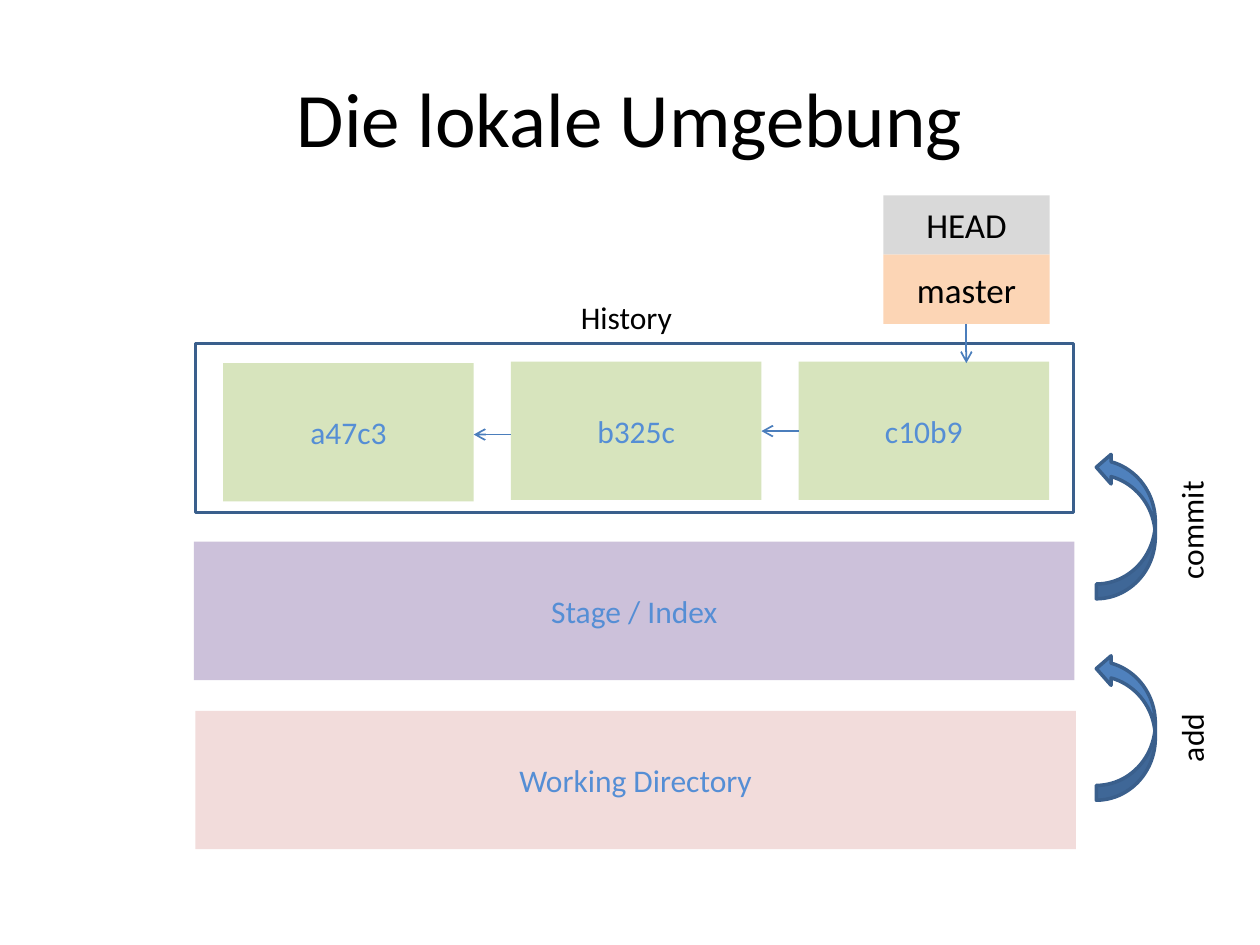
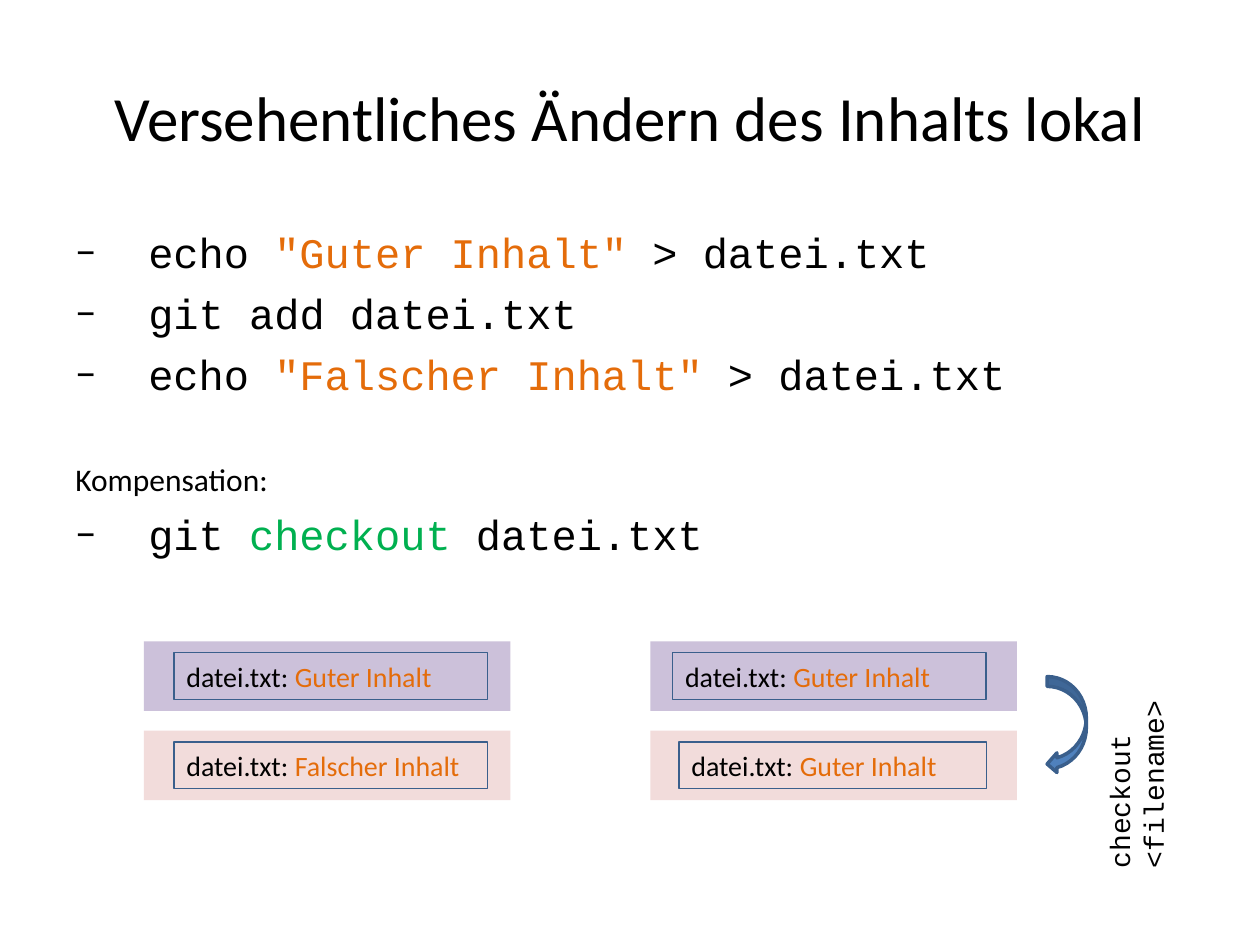
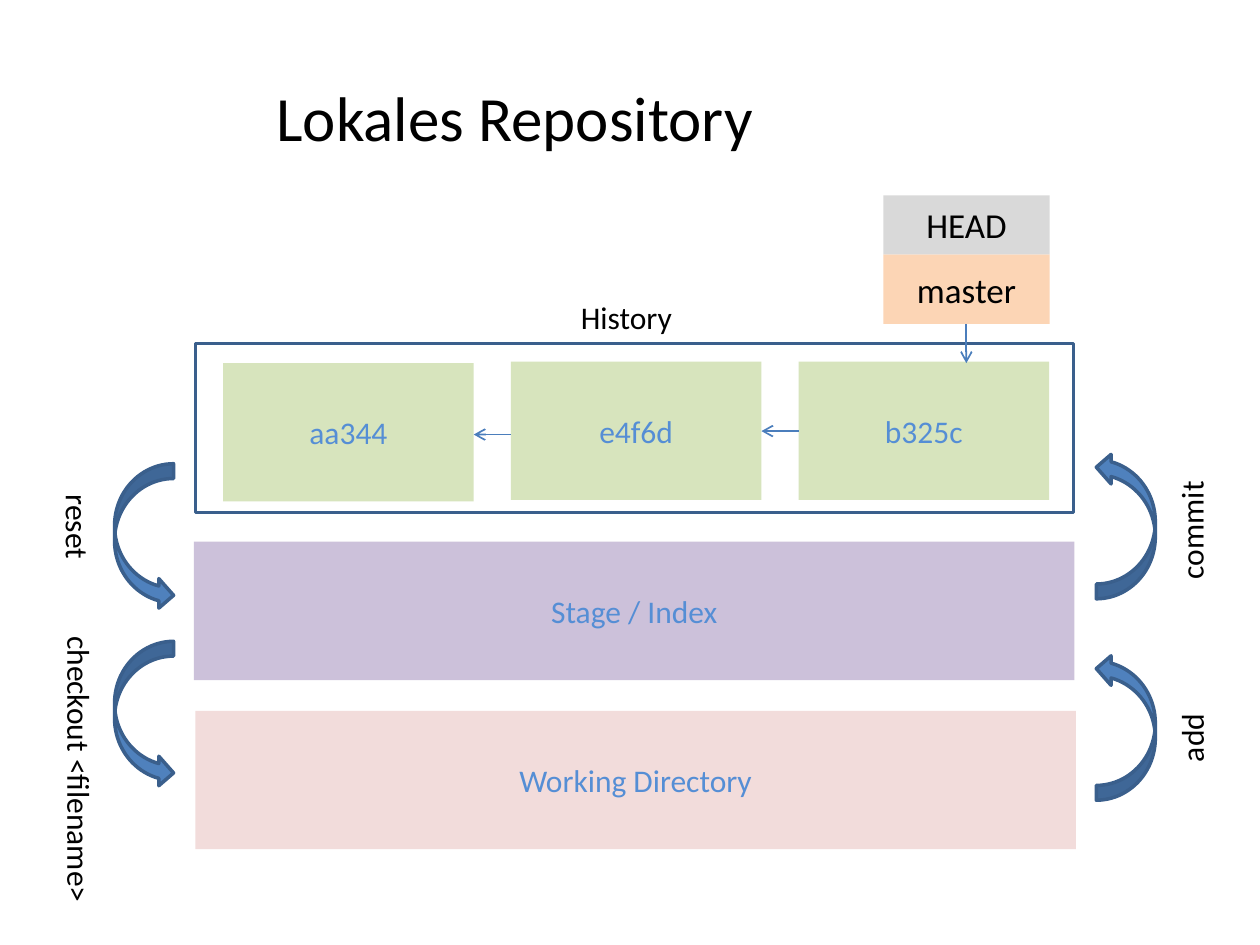
from lxml import etree
from pptx import Presentation
from pptx.dml.color import RGBColor
from pptx.enum.shapes import MSO_CONNECTOR as Connector, MSO_SHAPE as Shape
from pptx.enum.text import MSO_ANCHOR as Anchor, MSO_AUTO_SIZE as AutoSize, PP_ALIGN as Align
from pptx.oxml.ns import qn
from pptx.util import Cm, Pt

BLACK = RGBColor(0x00, 0x00, 0x00)
BLUE_TEXT = RGBColor(0x55, 0x8E, 0xD5)
BLUE_FILL = RGBColor(0x4F, 0x81, 0xBD)
BLUE_EDGE = RGBColor(0x3A, 0x5F, 0x8C)
BLUE_ARROW = RGBColor(0x4B, 0x7E, 0xBC)
ROSE = RGBColor(0xF2, 0xDC, 0xDB)
LILAC = RGBColor(0xCC, 0xC1, 0xDA)
LIME = RGBColor(0xD7, 0xE4, 0xBD)
PEACH = RGBColor(0xFC, 0xD5, 0xB5)
GRAY = RGBColor(0xD9, 0xD9, 0xD9)
ORANGE = RGBColor(0xE4, 0x6C, 0x0A)
GREEN = RGBColor(0x00, 0xB0, 0x50)

SANS, MONO = "Calibri", "Courier New"
COMMIT_LEFT, COMMIT_WIDTH, COMMIT_STEP = 4.5, 5.05, 5.8
COMMIT_TOPS = (7.32, 7.29, 7.29)
BULLET_INDENT = 1.47


def lengths(*values):
    """Turn centimetre numbers into lengths."""
    return [Cm(value) for value in values]


def add_spans(para, spans, size, font=SANS, **formats):
    """Write (text, colour) spans and set the paragraph formats."""
    for name, value in formats.items():
        setattr(para, name, value)
    for text, color in spans:
        span = para.add_run()
        span.text = text
        for name, value in {"size": Pt(size), "name": font}.items():
            setattr(span.font, name, value)
        span.font.color.rgb = color


def add_text(page, at, text, size=18, font=SANS, rotation=0, wrap=False,
             align=Align.LEFT, anchor=Anchor.TOP, fit=AutoSize.SHAPE_TO_FIT_TEXT):
    """Add a one-paragraph black text box."""
    box = page.shapes.add_textbox(*lengths(*at))
    box.rotation = rotation
    formats = {"word_wrap": wrap, "vertical_anchor": anchor, "auto_size": fit}
    for name, value in formats.items():
        setattr(box.text_frame, name, value)
    add_spans(box.text_frame.paragraphs[0], [(text, BLACK)], size, font, alignment=align)


def add_title(page, text, size=36, width=22.86):
    """Add the slide title."""
    add_text(page, (1.27, 0.76, width, 3.18), text, size, wrap=True,
             align=Align.CENTER, anchor=Anchor.MIDDLE, fit=AutoSize.NONE)


def add_box(page, at, fill=None, edge=None, edge_width=2, spans=(), size=18,
            align=Align.CENTER, kind=Shape.RECTANGLE, rotation=0):
    """Add a preset shape with optional fill, outline and text."""
    box = page.shapes.add_shape(kind, *lengths(*at))
    box.shadow.inherit = False
    box.rotation = rotation
    if fill is None:
        box.fill.background()
    else:
        box.fill.solid()
        box.fill.fore_color.rgb = fill
    if edge is None:
        box.line.fill.background()
    else:
        box.line.color.rgb = edge
        box.line.width = Pt(edge_width)
    if spans:
        box.text_frame.word_wrap = True
        box.text_frame.vertical_anchor = Anchor.MIDDLE
        add_spans(box.text_frame.paragraphs[0], spans, size, alignment=align)


def add_curve(page, at, kind=Shape.CURVED_RIGHT_ARROW, rotation=0):
    """Add a curved block arrow between two areas."""
    add_box(page, at, BLUE_FILL, BLUE_EDGE, kind=kind, rotation=rotation)


def add_arrow(page, *ends):
    """Add a thin line with an open arrowhead at its end."""
    arrow = page.shapes.add_connector(Connector.STRAIGHT, *lengths(*ends))
    arrow.line.color.rgb = BLUE_ARROW
    arrow.line.width = Pt(1)
    line = arrow.line._get_or_add_ln()
    etree.SubElement(line, qn("a:tailEnd"), type="arrow")
    etree.SubElement(arrow._element.spPr, qn("a:effectLst"))


def add_command(para, spans):
    """Write a shell command behind a dash bullet."""
    add_spans(para, spans, 24, MONO, space_before=Pt(6))
    props = para._p.get_or_add_pPr()
    props.set("marL", str(Cm(BULLET_INDENT)))
    props.set("indent", str(-Cm(BULLET_INDENT)))
    etree.SubElement(props, qn("a:buFont"), typeface=SANS)
    etree.SubElement(props, qn("a:buChar"), char="\u2212")


def add_repository(page, commits):
    """Draw working directory, stage, history, branch and the upward steps."""
    add_box(page, (3.94, 14.33, 17.75, 2.79), ROSE,
            spans=[("Working Directory", BLUE_TEXT)])
    add_box(page, (3.91, 10.92, 17.75, 2.79), LILAC,
            spans=[("Stage / Index", BLUE_TEXT)])
    lefts = [COMMIT_LEFT + COMMIT_STEP * index for index in range(len(commits))]
    for left, top, commit in zip(lefts, COMMIT_TOPS, commits):
        add_box(page, (left, top, COMMIT_WIDTH, 2.79), LIME, spans=[(commit, BLUE_TEXT)])
    add_box(page, (3.94, 6.93, 17.7, 3.4), edge=BLUE_EDGE)
    add_text(page, (11.46, 5.89, 2.36, 1.02), "History")
    for left, middle in zip(lefts[1:], (8.76, 8.69)):
        add_arrow(page, left, middle, left - COMMIT_STEP + COMMIT_WIDTH, middle)
    for top in (9.12, 13.18):
        add_curve(page, (22.1, top, 1.19, 2.95), rotation=180)
    add_text(page, (22.76, 10.16, 2.51, 1.02), "commit", rotation=270)
    add_text(page, (23.27, 14.35, 1.5, 1.02), "add", rotation=270)
    add_box(page, (17.81, 5.13, 3.35, 1.4), PEACH, spans=[("master", BLACK)], size=20)
    add_box(page, (17.81, 3.94, 3.35, 1.19), GRAY, spans=[("HEAD", BLACK)], size=20)
    add_arrow(page, 19.48, 6.53, 19.48, 7.32)


def add_file_state(page, left, files):
    """Draw stage over working directory, each holding one file version."""
    rows = zip((12.93, 14.73), (13.16, 14.96), (LILAC, ROSE), files)
    for band_top, file_top, fill, (file_left, width, content) in rows:
        add_box(page, (left, band_top, 7.39, 1.4), fill)
        add_box(page, (file_left, file_top, width, 0.94), edge=BLUE_EDGE, edge_width=0.75,
                spans=[("datei.txt: ", BLACK), (content, ORANGE)],
                size=16, align=Align.LEFT)


def build_environment(page):
    """Build the slide on the local environment."""
    add_title(page, "Die lokale Umgebung", 44)
    add_repository(page, ("a47c3", "b325c", "c10b9"))


def build_undo(page):
    """Build the slide on undoing a local change."""
    add_title(page, "Versehentliches Ändern des Inhalts lokal")
    frame = page.shapes.add_textbox(*lengths(1.27, 4.45, 22.86, 13.87)).text_frame
    frame.word_wrap = True
    add_command(frame.paragraphs[0], [("echo ", BLACK), ('"Guter Inhalt"', ORANGE),
                                      (" > datei.txt", BLACK)])
    add_command(frame.add_paragraph(), [("git add datei.txt", BLACK)])
    add_command(frame.add_paragraph(), [("echo ", BLACK), ('"Falscher Inhalt" ', ORANGE),
                                        ("> datei.txt", BLACK)])
    add_spans(frame.add_paragraph(), [("Kompensation:", BLACK)], 18, space_before=Pt(35))
    add_command(frame.add_paragraph(), [("git ", BLACK), ("checkout ", GREEN),
                                        ("datei.txt", BLACK)])
    add_file_state(page, 2.9, [(3.51, 6.32, "Guter Inhalt"), (3.51, 6.32, "Falscher Inhalt")])
    add_file_state(page, 13.11, [(13.56, 6.32, "Guter Inhalt"), (13.69, 6.2, "Guter Inhalt")])
    add_curve(page, (21.11, 13.64, 0.79, 1.96), Shape.CURVED_LEFT_ARROW)
    add_text(page, (19.35, 14.07, 6.43, 0.94), "checkout <filename>", 16, MONO,
             rotation=270, wrap=True)


def build_local_repository(page):
    """Build the slide on the local repository with the ways back."""
    add_title(page, "Lokales Repository", width=18.21)
    add_repository(page, ("aa344", "e4f6d", "b325c"))
    for top in (9.35, 12.93):
        add_curve(page, (2.31, top, 1.19, 2.95))
    add_text(page, (0.66, 10.13, 1.83, 1.02), "reset", rotation=90)
    add_text(page, (-1.57, 15.24, 6.35, 1.02), "checkout <filename>", rotation=90, wrap=True)


def main():
    """Build and save the deck."""
    deck = Presentation()
    deck.slide_width, deck.slide_height = lengths(25.4, 19.05)
    for build in (build_environment, build_undo, build_local_repository):
        build(deck.slides.add_slide(deck.slide_layouts[6]))
    deck.save("out.pptx")


main()
